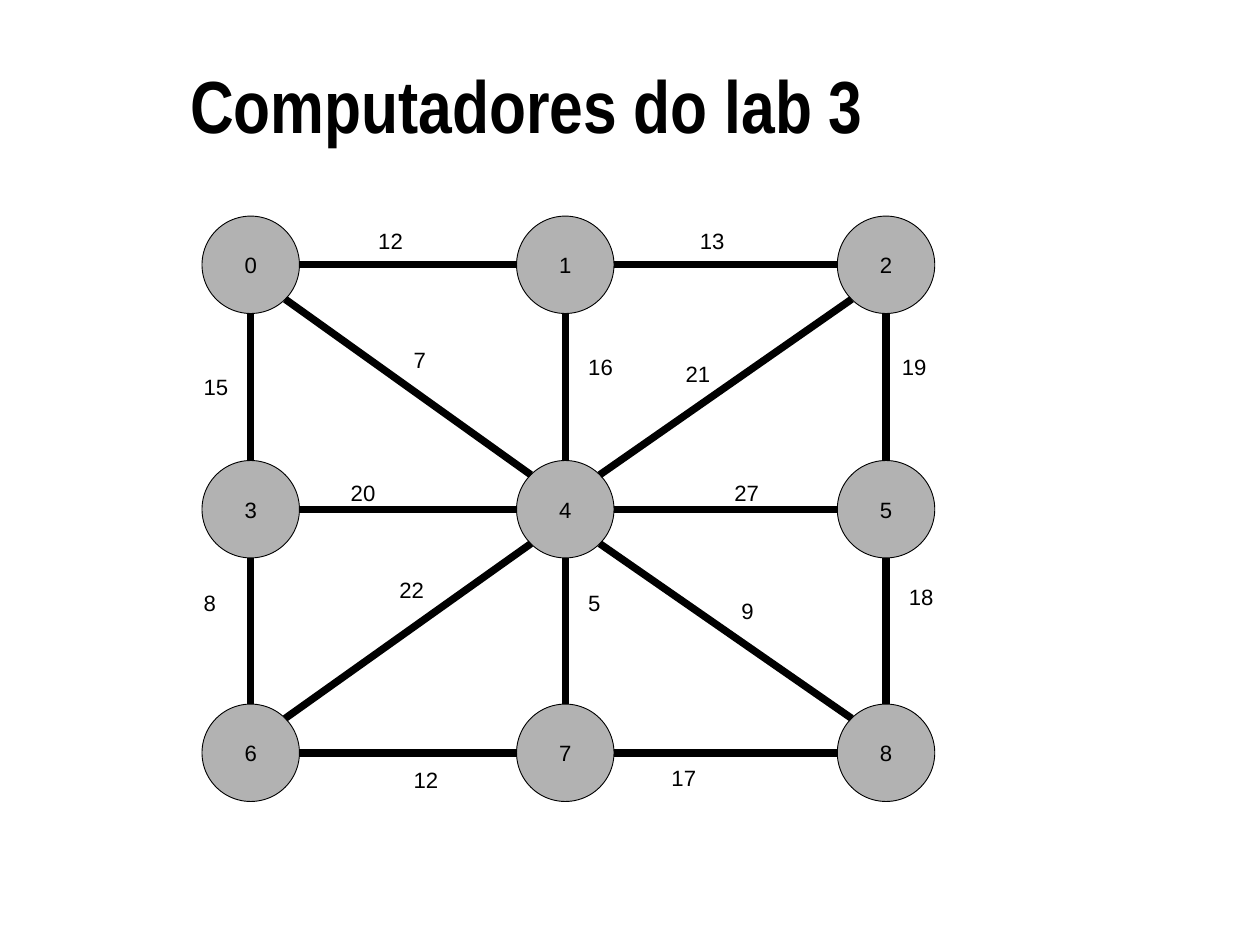
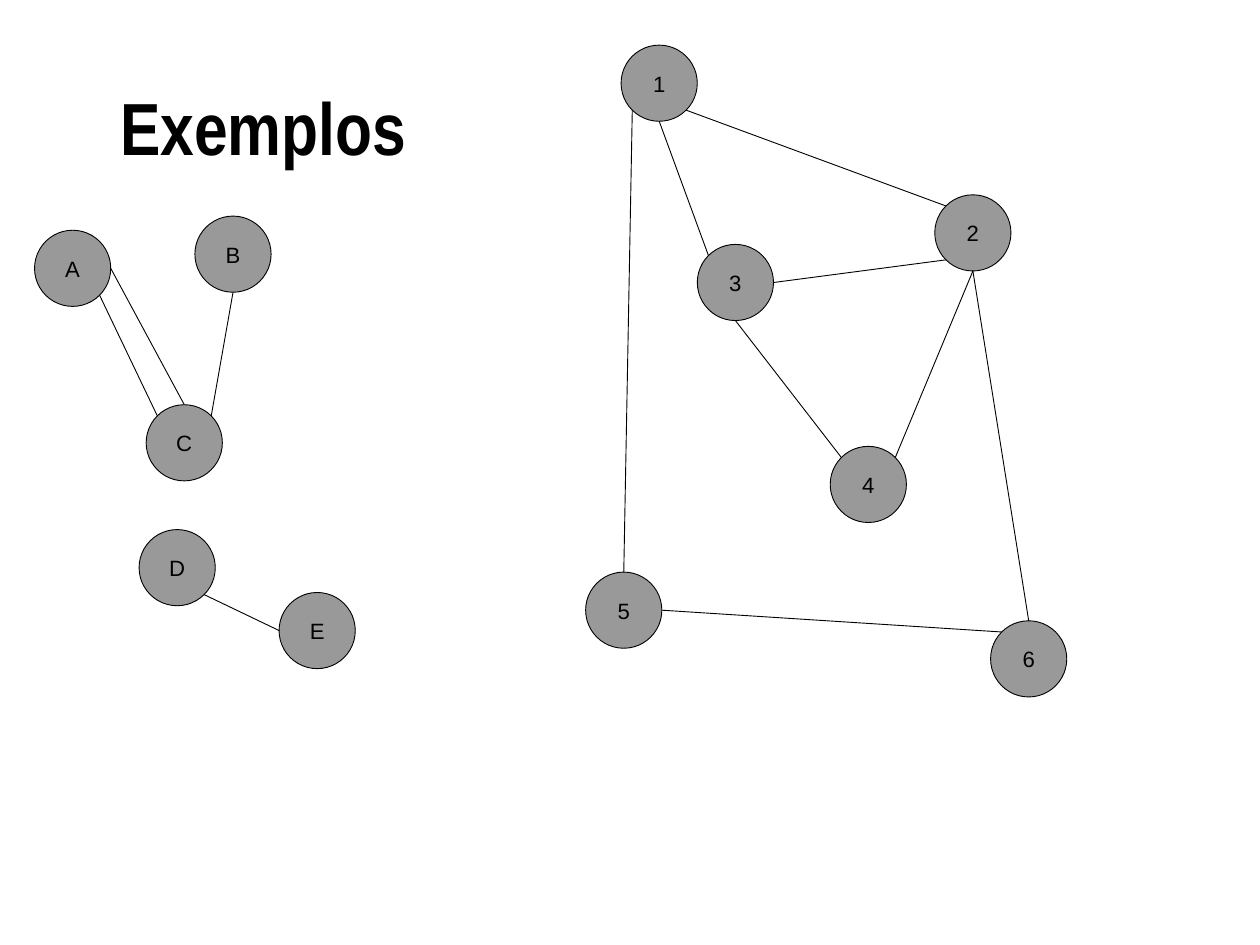
import math
import pptx
import pptx.util
import pptx.dml.color
import pptx.enum.shapes
import pptx.enum.text
import lxml.etree

Inches = pptx.util.Inches
Pt = pptx.util.Pt
ALIGN = pptx.enum.text.PP_ALIGN
ANCHOR = pptx.enum.text.MSO_ANCHOR
DRAWING_NS = "http://schemas.openxmlformats.org/drawingml/2006/main"

BLACK = "000000"
TITLE_FONT = {"name": "Arial Narrow", "size": Pt(60), "bold": True}
BODY_FONT = {"name": "Arial", "size": Pt(18)}

COMPASS = {"E": 0, "SE": 45, "S": 90, "SW": 135,
           "W": 180, "NW": 225, "N": 270, "NE": 315}

LAB_COLUMNS = [2.28, 5.83, 9.45]
LAB_ROWS = [2.44, 5.2, 7.95]
LAB_NODES = {str(3 * row + col): (x, y)
             for row, y in enumerate(LAB_ROWS)
             for col, x in enumerate(LAB_COLUMNS)}
LAB_LINKS = [
    ("0", "E", "1", "W", "12", 4.17, 2.52),
    ("1", "E", "2", "W", "13", 7.8, 2.52),
    ("0", "S", "3", "N", "15", 2.2, 4.17),
    ("0", "SE", "4", "NW", "7", 4.57, 3.86),
    ("1", "S", "4", "N", "16", 6.54, 3.94),
    ("2", "SW", "4", "NE", "21", 7.64, 4.02),
    ("2", "S", "5", "N", "19", 10.08, 3.94),
    ("3", "E", "4", "W", "20", 3.86, 5.36),
    ("4", "E", "5", "W", "27", 8.19, 5.36),
    ("3", "S", "6", "N", "8", 2.2, 6.61),
    ("6", "NE", "4", "SW", "22", 4.41, 6.46),
    ("4", "S", "7", "N", "5", 6.54, 6.61),
    ("4", "SE", "8", "NW", "9", 8.27, 6.69),
    ("5", "S", "8", "N", "18", 10.16, 6.54),
    ("6", "E", "7", "W", "12", 4.57, 8.6),
    ("7", "E", "8", "W", "17", 7.48, 8.58),
]

EXAMPLE_NODES = {
    "A": (0.39, 2.6), "B": (2.2, 2.44), "C": (1.65, 4.57),
    "D": (1.57, 5.98), "E": (3.15, 6.69),
    "1": (7.01, 0.51), "2": (10.55, 2.2), "3": (7.87, 2.76),
    "4": (9.37, 5.04), "5": (6.61, 6.46), "6": (11.18, 7.01),
}
EXAMPLE_LINKS = [
    ("A", "SE", "C", "NW"), ("B", "S", "C", "NE"),
    ("D", "SE", "E", "W"), ("C", "N", "A", "E"),
    ("1", "SE", "2", "NW"), ("1", "S", "3", "NW"),
    ("1", "SW", "5", "N"), ("3", "E", "2", "SW"),
    ("3", "S", "4", "NW"), ("6", "NW", "5", "E"),
    ("2", "S", "4", "NE"), ("2", "S", "6", "N"),
]

SLIDES = [
    {"title": "Computadores do lab 3", "title_box": (2.05, 0.63, 11.1, 1.05),
     "title_align": ALIGN.LEFT, "nodes": LAB_NODES, "links": LAB_LINKS,
     "diameter": 1.1, "fill": "B2B2B2", "link_width": 6},
    {"title": "Exemplos", "title_box": (0.57, 0.87, 4.8, 1.05),
     "title_align": ALIGN.CENTER, "nodes": EXAMPLE_NODES, "links": EXAMPLE_LINKS,
     "diameter": 0.86, "fill": "999999", "link_width": 0.75},
]


def rgb(value):
    return pptx.dml.color.RGBColor.from_string(value)


def write(shape, text, font, align, anchor, wrap):
    tf = shape.text_frame
    tf.word_wrap = wrap
    tf.vertical_anchor = anchor
    p = tf.paragraphs[0]
    p.alignment = align
    r = p.add_run()
    r.text = text
    for name, value in font.items():
        setattr(r.font, name, value)
    r.font.color.rgb = rgb(BLACK)


def add_text(s, text, box, font, align=ALIGN.LEFT):
    tb = s.shapes.add_textbox(*map(Inches, box))
    write(tb, text, font, align, ANCHOR.TOP, True)


def add_node(s, name, corner, diameter, fill):
    size = Inches(diameter)
    sp = s.shapes.add_shape(pptx.enum.shapes.MSO_SHAPE.OVAL,
                            *map(Inches, corner), size, size)
    sp.shadow.inherit = False
    sp.fill.solid()
    sp.fill.fore_color.rgb = rgb(fill)
    sp.line.color.rgb = rgb(BLACK)
    sp.line.width = Pt(0.75)
    write(sp, name, BODY_FONT, ALIGN.CENTER, ANCHOR.MIDDLE, False)


def rim_point(corner, diameter, side):
    angle = math.radians(COMPASS[side])
    radius = diameter / 2
    return (Inches(corner[0] + radius * (1 + math.cos(angle))),
            Inches(corner[1] + radius * (1 + math.sin(angle))))


def add_link(s, start, end, width):
    line = s.shapes.add_connector(pptx.enum.shapes.MSO_CONNECTOR.STRAIGHT,
                                  *start, *end)
    line.line.color.rgb = rgb(BLACK)
    line.line.width = Pt(width)
    properties = line.line._get_or_add_ln().getparent()
    lxml.etree.SubElement(properties, f"{{{DRAWING_NS}}}effectLst")


def add_graph_slide(prs, graph):
    s = prs.slides.add_slide(prs.slide_layouts[6])
    add_text(s, graph["title"], graph["title_box"], TITLE_FONT, graph["title_align"])
    nodes, diameter = graph["nodes"], graph["diameter"]
    for name, corner in nodes.items():
        add_node(s, name, corner, diameter, graph["fill"])
    for first, leaves, second, enters, *weight in graph["links"]:
        add_link(s, rim_point(nodes[first], diameter, leaves),
                 rim_point(nodes[second], diameter, enters), graph["link_width"])
        if weight:
            text, x, y = weight
            add_text(s, text, (x, y, 0.7, 0.38), BODY_FONT)


def main():
    prs = pptx.Presentation()
    prs.slide_width = Inches(14.22)
    prs.slide_height = Inches(10.67)
    for graph in SLIDES:
        add_graph_slide(prs, graph)
    prs.save("out.pptx")


if __name__ == "__main__":
    main()
